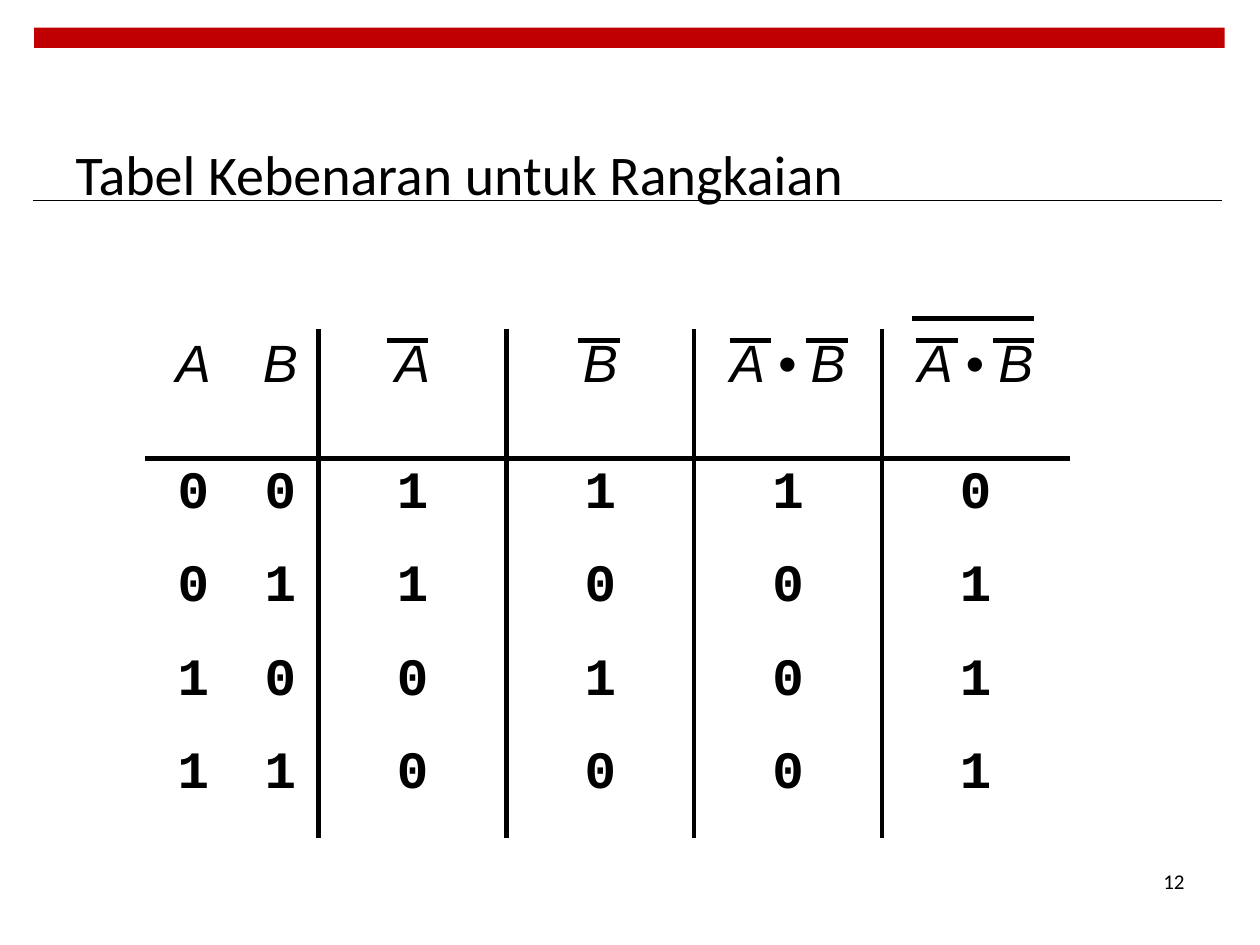
from dataclasses import dataclass

from lxml.etree import SubElement
from pptx import Presentation
from pptx.dml.color import RGBColor
from pptx.enum.shapes import MSO_CONNECTOR, MSO_SHAPE
from pptx.enum.text import MSO_ANCHOR, PP_ALIGN
from pptx.oxml.ns import qn
from pptx.util import Inches, Pt


@dataclass(frozen=True)
class Theme:
    """Colours, fonts and type sizes of the slide."""
    ink: str = "000000"
    accent: str = "C00000"
    body: str = "Calibri"
    head: str = "Arial"
    digit: str = "Courier New"
    title: int = 32
    cell: int = 30
    small: int = 12
    thick: float = 3
    thin: float = 0.6


class Deck:
    """Draws elements on the current slide in one style."""

    def __init__(self, theme, slide):
        self.theme = theme
        self.slide = slide

    def style(self, frame, font, size, align, bold=False, italic=False):
        """Format all text of a frame."""
        for para in frame.paragraphs:
            para.alignment = align
            for run in para.runs:
                run.font.name = font
                run.font.size = Pt(size)
                run.font.bold = bold
                run.font.italic = italic
                run.font.color.rgb = RGBColor.from_string(self.theme.ink)

    def title(self, text, box):
        """Fill and place the title placeholder."""
        shape = self.slide.shapes.title
        shape.left, shape.top, shape.width, shape.height = map(Inches, box)
        frame = shape.text_frame
        frame.text = text
        frame.vertical_anchor = MSO_ANCHOR.MIDDLE
        self.style(frame, self.theme.body, self.theme.title, PP_ALIGN.LEFT)

    def number(self, text, box):
        """Add the page number."""
        frame = self.slide.shapes.add_textbox(*map(Inches, box)).text_frame
        frame.word_wrap = True
        frame.text = text
        frame.vertical_anchor = MSO_ANCHOR.MIDDLE
        self.style(frame, self.theme.body, self.theme.small, PP_ALIGN.RIGHT)

    def band(self, box):
        """Add the accent band."""
        shape = self.slide.shapes.add_shape(MSO_SHAPE.RECTANGLE, *map(Inches, box))
        shape.shadow.inherit = False
        shape.fill.solid()
        shape.fill.fore_color.rgb = RGBColor.from_string(self.theme.accent)
        shape.line.fill.background()

    def rule(self, left, right, top, width):
        """Add a level line."""
        line = self.slide.shapes.add_connector(
            MSO_CONNECTOR.STRAIGHT, *map(Inches, (left, top, right, top)))
        line.line.width = Pt(width)
        line.line.color.rgb = RGBColor.from_string(self.theme.ink)
        SubElement(line._element.spPr, qn("a:effectLst"))

    def edges(self, cell, shown):
        """Draw the shown edges of a cell and clear the others."""
        props = cell._tc.get_or_add_tcPr()
        for side in "LRTB":
            edge = SubElement(props, qn(f"a:ln{side}"), w=str(Pt(self.theme.thick)))
            if side in shown:
                fill = SubElement(edge, qn("a:solidFill"))
                SubElement(fill, qn("a:srgbClr"), val=self.theme.ink)
            else:
                SubElement(edge, qn("a:noFill"))
        cell.fill.background()

    def table(self, rows, left, top, widths, heights):
        """Add the truth table with inner rules only."""
        size = map(Inches, (left, top, sum(widths), sum(heights)))
        table = self.slide.shapes.add_table(len(rows), len(widths), *size).table
        table.first_row = table.horz_banding = False
        for col, width in zip(table.columns, widths):
            col.width = Inches(width)
        for row, height in zip(table.rows, heights):
            row.height = Inches(height)
        last = len(widths) - 1
        for i, row in enumerate(rows):
            for j, text in enumerate(row):
                cell = table.cell(i, j)
                cell.text = text
                font = self.theme.digit if i else self.theme.head
                self.style(cell.text_frame, font, self.theme.cell,
                           PP_ALIGN.CENTER, bold=i > 0, italic=i == 0)
                shown = {0: "B", 1: "T"}.get(i, "")
                shown += "L" if j > 1 else ""
                shown += "R" if 0 < j < last else ""
                self.edges(cell, shown)


def main():
    """Build and save the slide."""
    show = Presentation()
    show.slide_width, show.slide_height = Inches(10), Inches(7.5)
    theme = Theme()
    deck = Deck(theme, show.slides.add_slide(show.slide_layouts[5]))
    deck.band((0.27, 0.22, 9.45, 0.16))
    deck.rule(0.26, 9.7, 1.59, theme.thin)
    deck.number("12", (7.17, 6.74, 2.33, 0.5))
    deck.title("Tabel Kebenaran untuk Rangkaian", (0.5, 0.75, 9, 1.25))

    rows = [["A", "B", "A", "B", "A • B", "A • B"]]
    for a, b in ((0, 0), (0, 1), (1, 0), (1, 1)):
        both = (1 - a) * (1 - b)
        rows.append([str(v) for v in (a, b, 1 - a, 1 - b, both, 1 - both)])
    deck.table(rows, 1.15, 2.61, [0.77, 0.61] + [1.49] * 4,
               [1.03] + [0.74] * 3 + [0.79])

    for left in (3.07, 4.59, 5.79, 6.4, 7.27, 7.88):
        deck.rule(left, left + 0.33, 2.7, theme.thick)
    deck.rule(7.28, 7.61, 2.53, theme.thick)
    deck.rule(7.24, 8.21, 2.53, theme.thick)
    show.save("out.pptx")


if __name__ == "__main__":
    main()
